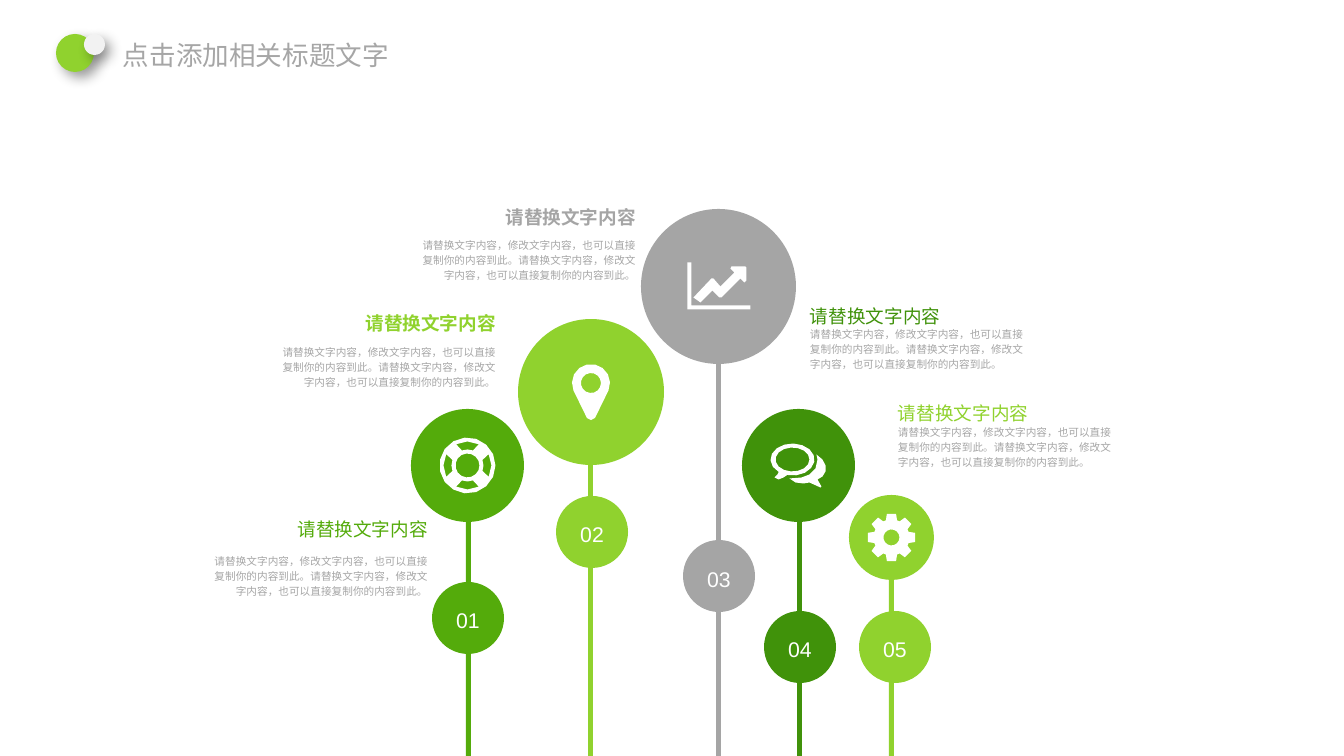
from collections import namedtuple
from math import cos, radians, sin

from lxml.etree import SubElement
from pptx import Presentation
from pptx.dml.color import RGBColor
from pptx.enum.shapes import MSO_SHAPE as SHAPE
from pptx.enum.text import MSO_ANCHOR as ANCHOR, PP_ALIGN as ALIGN
from pptx.oxml.ns import qn
from pptx.util import Emu, Pt

PX = 9565  # EMU in one px
W, H = 1344, 756
FONT = "Arial"

LIME = RGBColor(0x90, 0xD2, 0x2E)
GREEN = RGBColor(0x54, 0xAB, 0x0B)
FOREST = RGBColor(0x40, 0x92, 0x0A)
GRAY = RGBColor(0xA5, 0xA5, 0xA5)
TEXT_GRAY = RGBColor(0xA6, 0xA6, 0xA6)
PALE = RGBColor(0xF2, 0xF2, 0xF2)
WHITE = RGBColor(0xFF, 0xFF, 0xFF)

HEADING = "请替换文字内容"
BODY = "请替换文字内容，修改文字内容，也可以直接复制你的内容到此。" * 2

# head and node are (left, top, diameter); label is (x edge, heading top, body top)
Tree = namedtuple("Tree", "number color stem_x head node icon side label bold")


def px(n):
    return Emu(round(n * PX))


# Basic parts
def style(sp, color):
    sp.shadow.inherit = False
    sp.fill.solid()
    sp.fill.fore_color.rgb = color
    sp.line.fill.background()
    return sp


def shape(slide, kind, x, y, w, h, color):
    return style(slide.shapes.add_shape(kind, px(x), px(y), px(w), px(h)), color)


def write(tf, text, size, color, align=ALIGN.LEFT, anchor=ANCHOR.TOP,
          bold=False, wrap=True, spacing=1.2, inset=(0, 0)):
    tf.word_wrap = wrap
    tf.vertical_anchor = anchor
    tf.margin_left = tf.margin_right = px(inset[0])
    tf.margin_top = tf.margin_bottom = px(inset[1])
    p = tf.paragraphs[0]
    p.alignment = align
    p.line_spacing = spacing
    r = p.add_run()
    r.text = text
    r.font.name, r.font.size, r.font.bold = FONT, Pt(size), bold
    r.font.color.rgb = color


def text_box(slide, x, y, w, h, *args, **kwargs):
    sp = slide.shapes.add_textbox(px(x), px(y), px(w), px(h))
    write(sp.text_frame, *args, **kwargs)


def add_shadow(sp):
    effects = sp._element.spPr.find(qn("a:effectLst"))
    shadow = SubElement(effects, qn("a:outerShdw"), blurRad=str(Pt(10)),
                        dist=str(Pt(6)), dir=str(45 * 60000), algn="tl", rotWithShape="0")
    color = SubElement(shadow, qn("a:srgbClr"), val="000000")
    SubElement(color, qn("a:alpha"), val="40000")


# Icons: lists of closed outlines around the centre of a head
def arc(rx, ry=None, start=0, end=360, cx=0, cy=0):
    ry = ry or rx
    steps = max(1, round(abs(end - start) / 24))
    angles = [radians(start + (end - start) * i / steps) for i in range(steps + 1)]
    return [(cx + rx * cos(a), cy + ry * sin(a)) for a in angles]


def circle(rx, ry=None, cx=0, cy=0):
    return arc(rx, ry, cx=cx, cy=cy)[:-1]


def lifebuoy():
    slots = [arc(24, start=a - 28, end=a + 28) + arc(16, start=a + 20, end=a - 20)
             for a in range(0, 360, 90)]
    return [circle(28), circle(12)] + slots


def pin():
    body = arc(19, start=157, end=383, cy=-9) + [(4, 26), (0, 28), (-4, 26)]
    return [body, circle(10, cy=-9)]


def line_chart():
    axes = [(-31, -24), (-27, -24), (-27, 19), (32, 19), (32, 23), (-31, 23)]
    arrow = [(28, -6), (26, -4), (22, -8), (3, 11), (1, 11), (-6, 4), (-18, 16),
             (-25, 11), (-7, -8), (-5, -8), (2, 0), (16, -14), (12, -18),
             (13, -20), (27, -20), (28, -19)]
    return [axes, arrow]


def bubbles():
    front = arc(22, 16, 129, 464, -6, -6)
    tail = [(-15, 12), (-20, 14), (-24, 12), (-21, 9)]
    back = [(18, -11), (24, -6), (27, 0), (27, 6), (24, 11), (19, 14), (23, 21),
            (22, 22), (11, 17), (5, 18), (-3, 17), (-9, 13), (3, 12), (11, 9),
            (17, 3), (19, -6)]
    return [front + tail, circle(17, 12, cx=-6, cy=-6), back]


def gear():
    tooth = [(18, -18), (24, -11), (24, 11), (18, 18)]
    rim = [(r * cos(radians(a + turn)), r * sin(radians(a + turn)))
           for turn in range(0, 360, 45) for r, a in tooth]
    return [rim, circle(8)]


def draw_icon(slide, cx, cy, outlines):
    fine = 10  # drawing units in one px
    builder = None
    for outline in outlines:
        points = [((cx + x) * fine, (cy + y) * fine) for x, y in outline]
        if builder is None:
            builder = slide.shapes.build_freeform(*points[0], scale=PX / fine)
        else:
            builder.move_to(*points[0])
        builder.add_line_segments(points[1:], close=True)
    style(builder.convert_to_shape(), WHITE)


# Regions
def draw_header(slide, x, y):
    add_shadow(shape(slide, SHAPE.OVAL, x, y, 38, 38, LIME))
    text_box(slide, x + 57, y, 320, 38, "点击添加相关标题文字", 20, TEXT_GRAY,
             spacing=1.0, inset=(10, 5))
    add_shadow(shape(slide, SHAPE.OVAL, x + 28, y, 21, 21, PALE))


def draw_stem(slide, tree):
    top = tree.head[1] + tree.head[2] - 1
    shape(slide, SHAPE.RECTANGLE, tree.stem_x, top, 5, H - top, tree.color)


def draw_label(slide, tree):
    x, heading_y, body_y = tree.label
    if tree.side == "left":
        heading_w, body_w, body_h = 147, 222, 62
        heading_x, body_x = x - heading_w, x - body_w
        place = {"align": ALIGN.RIGHT, "anchor": ANCHOR.MIDDLE}
    else:
        heading_w, body_w, body_h = 155, 218, 46
        heading_x = body_x = x
        place = {"align": ALIGN.LEFT, "anchor": ANCHOR.TOP}
    text_box(slide, heading_x, heading_y, heading_w, 27, HEADING, 14, tree.color,
             bold=tree.bold, wrap=False, **place)
    text_box(slide, body_x, body_y, body_w, body_h, BODY, 8, TEXT_GRAY, **place)


def draw_node(slide, tree):
    x, y, d = tree.node
    node = shape(slide, SHAPE.OVAL, x, y, d, d, tree.color)
    write(node.text_frame, tree.number, 16, WHITE, ALIGN.CENTER, ANCHOR.MIDDLE)


def draw_head(slide, tree):
    x, y, d = tree.head
    shape(slide, SHAPE.OVAL, x, y, d, d, tree.color)
    draw_icon(slide, x + d / 2, y + d / 2, tree.icon)


TREES = [
    Tree("01", GREEN, 466, (411, 409, 113), (432, 582, 72), lifebuoy(),
         "left", (428, 513, 544), False),
    Tree("02", LIME, 588, (518, 319, 146), (556, 496, 72), pin(),
         "left", (496, 307, 335), True),
    Tree("03", GRAY, 716, (641, 209, 155), (683, 540, 72), line_chart(),
         "left", (636, 201, 228), True),
    Tree("04", FOREST, 797, (742, 409, 113), (764, 611, 72), bubbles(),
         "right", (810, 300, 325), False),
    Tree("05", LIME, 889, (849, 495, 85), (859, 611, 72), gear(),
         "right", (898, 397, 423), False),
]


def main():
    prs = Presentation()
    prs.slide_width, prs.slide_height = px(W), px(H)
    slide = prs.slides.add_slide(prs.slide_layouts[6])
    for draw_layer in (draw_stem, draw_label, draw_node, draw_head):
        for tree in TREES:
            draw_layer(slide, tree)
    draw_header(slide, 56, 34)
    prs.save("out.pptx")


if __name__ == "__main__":
    main()
